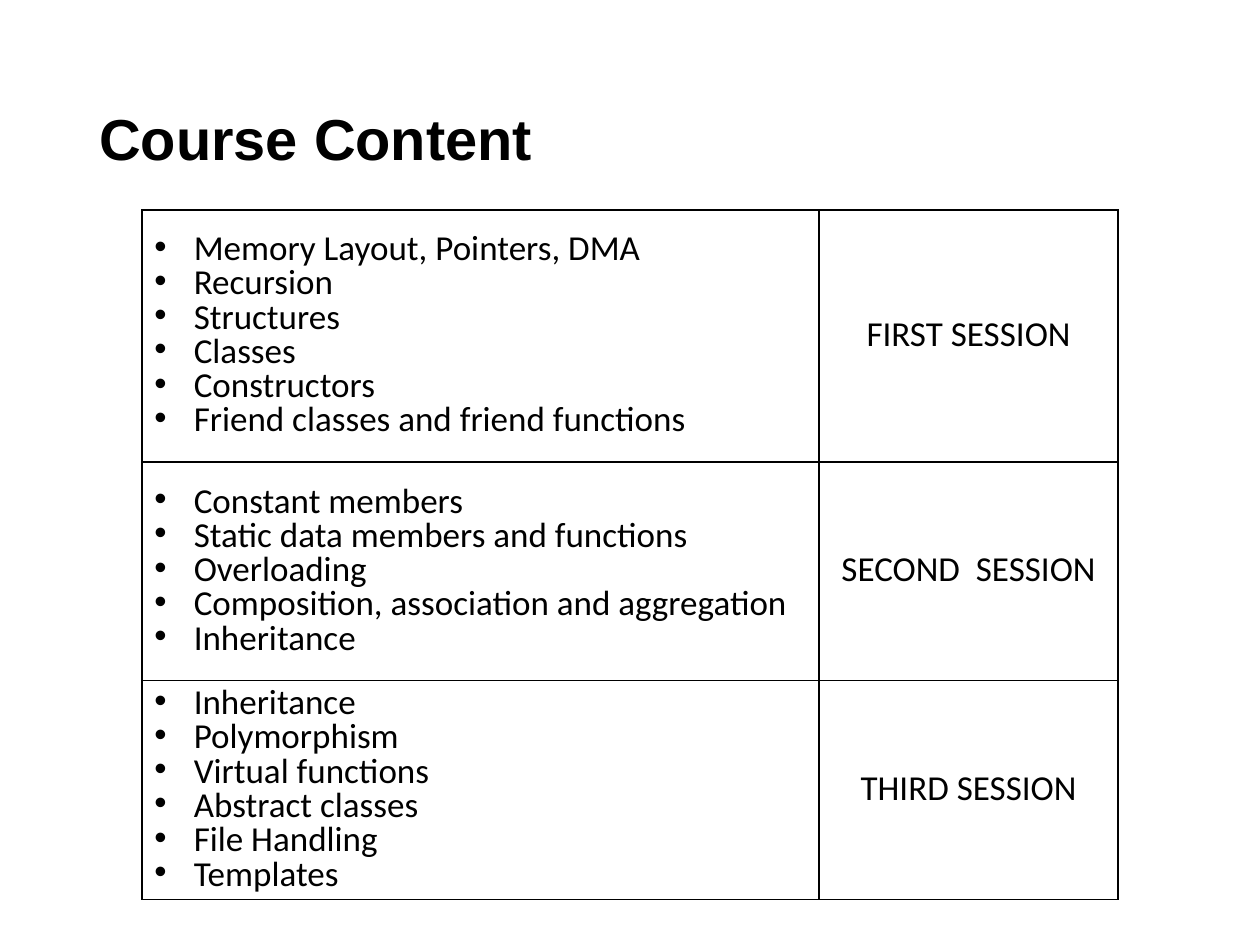
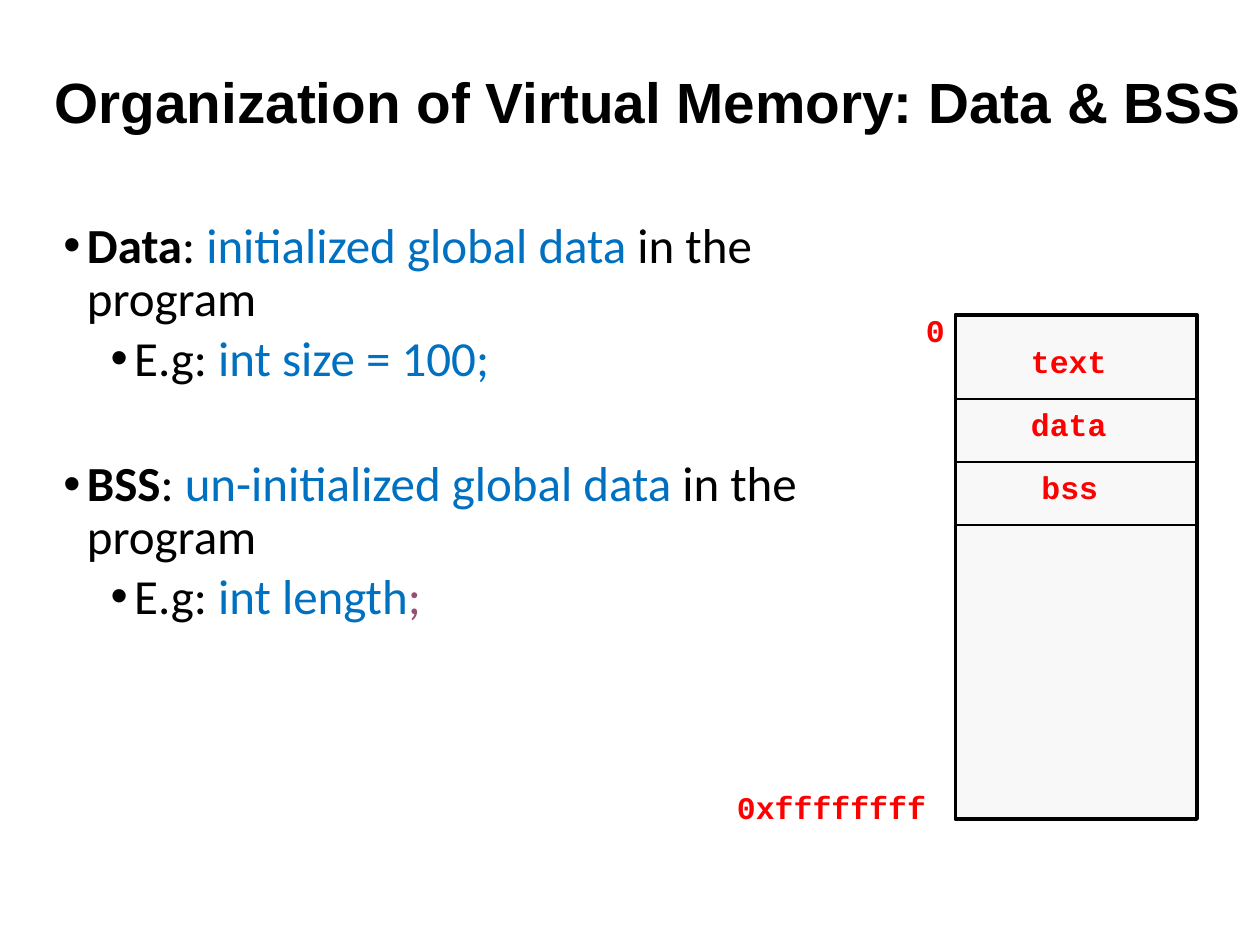
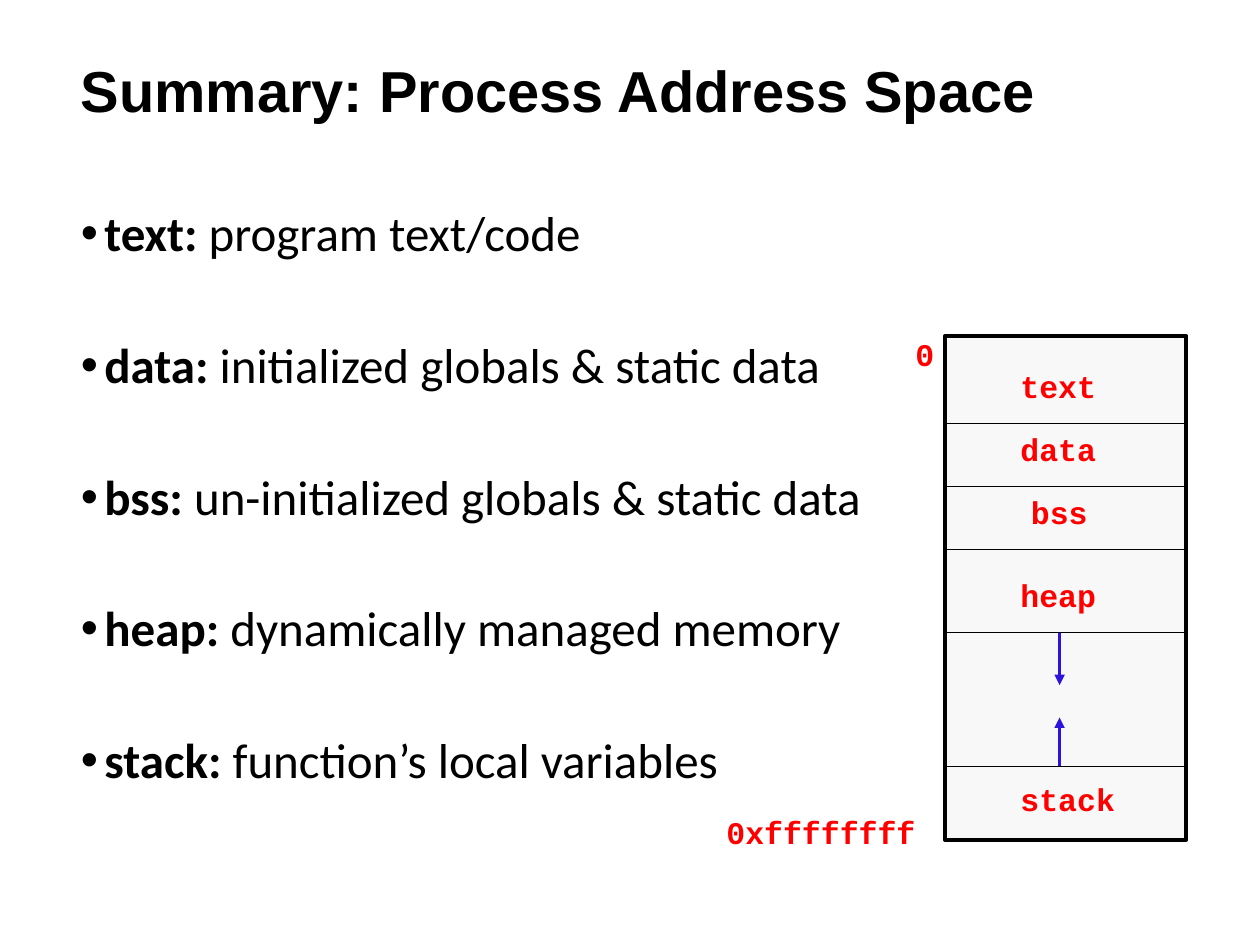
from lxml.etree import SubElement
from pptx import Presentation
from pptx.dml.color import RGBColor
from pptx.enum.shapes import MSO_CONNECTOR, MSO_SHAPE
from pptx.enum.text import MSO_ANCHOR, MSO_AUTO_SIZE, PP_ALIGN
from pptx.oxml import parse_xml
from pptx.oxml.ns import nsdecls, qn
from pptx.util import Pt

COLORS = {
    "ink": "000000",
    "paper": "FFFFFF",
    "memory": "F8F8F8",
    "label": "FF0000",
    "code": "0070C0",
    "semicolon": "954F72",
    "arrow": "2C14DE",
}
TITLE_FONT, BODY_FONT, CODE_FONT = "Arial", "Calibri", "Courier New"
MAP_WIDTH, MAP_HEIGHT = 138, 288
LABEL_HEIGHT = 29
SEGMENT_HEIGHT = 36

SESSIONS = [
    ("FIRST SESSION", 144, ["Memory Layout, Pointers, DMA", "Recursion", "Structures",
                            "Classes", "Constructors", "Friend classes and friend functions"]),
    ("SECOND  SESSION", 125, ["Constant members", "Static data members and functions",
                              "Overloading", "Composition, association and aggregation",
                              "Inheritance"]),
    ("THIRD SESSION", 125, ["Inheritance", "Polymorphism", "Virtual functions",
                            "Abstract classes", "File Handling", "Templates"]),
]
# Name, indent from the left of the map, lower edge below the first address
LOW_SEGMENTS = [("text", 36, 48), ("data", 36, 84), ("bss", 42, 120)]
HEAP_SEGMENT = ("heap", 36, 167.5)
STACK_CEILING = 244

# Level, space before, runs of (text, colour, bold)
DATA_AND_BSS = [
    (0, 7.5, [("Data", "ink", True), (": ", "ink", False),
              ("initialized global data ", "code", False), ("in the program", "ink", False)]),
    (1, 3.8, [("E.g: ", "ink", False), ("int size = 100;", "code", False)]),
    (0, 41.5, [("BSS", "ink", True), (": ", "ink", False),
               ("un-initialized global data ", "code", False), ("in the program", "ink", False)]),
    (1, 3.8, [("E.g: ", "ink", False), ("int length", "code", False),
              (";", "semicolon", False)]),
]
SUMMARY = [
    ("text: ", "program text/code"),
    ("data: ", "initialized globals & static data"),
    ("bss: ", "un-initialized globals & static data"),
    ("heap: ", "dynamically managed memory"),
    ("stack: ", "function’s local variables"),
]


def rgb(name):
    return RGBColor.from_string(COLORS[name])


def set_font(font, name, size, color="ink", bold=False):
    font.name, font.size, font.bold = name, Pt(size), bold
    font.color.rgb = rgb(color)


def place(shape, left, top, width, height):
    shape.left, shape.top, shape.width, shape.height = Pt(left), Pt(top), Pt(width), Pt(height)


def set_bullet(paragraph, margin, hanging):
    properties = paragraph._p.get_or_add_pPr()
    properties.set("marL", str(Pt(margin)))
    properties.set("indent", str(-Pt(hanging)))
    SubElement(properties, qn("a:buFont"), typeface="Arial")
    SubElement(properties, qn("a:buChar"), char="•")


def add_slide(presentation, layout_index, title, box, size=33):
    slide = presentation.slides.add_slide(presentation.slide_layouts[layout_index])
    shape = slide.shapes.title
    place(shape, *box)
    frame = shape.text_frame
    frame.text = title
    frame.auto_size = MSO_AUTO_SIZE.NONE
    frame.vertical_anchor = MSO_ANCHOR.MIDDLE
    paragraph = frame.paragraphs[0]
    paragraph.alignment = PP_ALIGN.LEFT
    paragraph.line_spacing = 0.9
    set_font(paragraph.font, TITLE_FONT, size, bold=True)
    return slide


def fill_body(slide, box, items):
    shape = slide.placeholders[1]
    place(shape, *box)
    frame = shape.text_frame
    frame.auto_size = MSO_AUTO_SIZE.NONE
    for index, (level, space_before, runs) in enumerate(items):
        paragraph = frame.add_paragraph() if index else frame.paragraphs[0]
        paragraph.level = level
        paragraph.line_spacing = 0.9
        paragraph.space_before = Pt(space_before)
        set_bullet(paragraph, 13.5 + 27 * level, 13.5)
        for text, color, bold in runs:
            run = paragraph.add_run()
            run.text = text
            set_font(run.font, BODY_FONT, 28, color, bold)


# Table
def fill_cell(cell, lines, bulleted):
    cell.fill.solid()
    cell.fill.fore_color.rgb = rgb("paper")
    cell.vertical_anchor = MSO_ANCHOR.MIDDLE
    cell.text = "\n".join(lines)
    for paragraph in cell.text_frame.paragraphs:
        paragraph.line_spacing = 0.8
        set_font(paragraph.font, BODY_FONT, 20)
        if bulleted:
            set_bullet(paragraph, 22.5, 22.5)
        else:
            paragraph.alignment = PP_ALIGN.CENTER
    for index, side in enumerate("LRTB"):
        cell._tc.get_or_add_tcPr().insert(index, parse_xml(
            f'<a:ln{side} {nsdecls("a")} w="{Pt(1)}"><a:solidFill>'
            f'<a:srgbClr val="{COLORS["ink"]}"/></a:solidFill></a:ln{side}>'))


def add_session_table(slide):
    height = sum(session[1] for session in SESSIONS)
    table = slide.shapes.add_table(
        len(SESSIONS), 2, Pt(81), Pt(120), Pt(558), Pt(height)).table
    table.first_row = table.horz_banding = False
    table.columns[0].width, table.columns[1].width = Pt(387), Pt(171)
    for row, (session, row_height, topics) in zip(table.rows, SESSIONS):
        row.height = Pt(row_height)
        fill_cell(row.cells[0], topics, True)
        fill_cell(row.cells[1], [session], False)


# Memory map
def add_label(slide, text, left, top, width):
    shape = slide.shapes.add_textbox(Pt(left), Pt(top), Pt(width), Pt(LABEL_HEIGHT))
    frame = shape.text_frame
    frame.word_wrap = True
    frame.text = text
    set_font(frame.paragraphs[0].font, CODE_FONT, 18, "label", True)


def add_line(slide, start, end, color="ink", width=0.75, arrow=False):
    connector = slide.shapes.add_connector(
        MSO_CONNECTOR.STRAIGHT, *(Pt(value) for value in start + end))
    connector.line.color.rgb = rgb(color)
    connector.line.width = Pt(width)
    if arrow:
        SubElement(connector.line._get_or_add_ln(), qn("a:tailEnd"), type="triangle")
    SubElement(connector._element.spPr, qn("a:effectLst"))


def add_divider(slide, left, y):
    add_line(slide, (left, y), (left + MAP_WIDTH, y))


def add_memory_map(slide, left, top, origin, segments):
    block = slide.shapes.add_shape(
        MSO_SHAPE.RECTANGLE, Pt(left), Pt(top), Pt(MAP_WIDTH), Pt(MAP_HEIGHT))
    block.shadow.inherit = False
    block.fill.solid()
    block.fill.fore_color.rgb = rgb("memory")
    block.line.color.rgb = rgb("ink")
    block.line.width = Pt(2.25)
    add_label(slide, "0xffffffff", left - 132, origin + 267, 126)
    add_label(slide, "0", left - 24, origin - 6, 30)
    for name, indent, floor in segments:
        add_divider(slide, left, origin + floor)
        add_label(slide, name, left + indent, origin + floor - SEGMENT_HEIGHT, 84)


def add_stack(slide, left, origin):
    heap_floor, ceiling = origin + HEAP_SEGMENT[2], origin + STACK_CEILING
    middle = left + 65.5
    add_divider(slide, left, ceiling)
    add_label(slide, "stack", left + 36, ceiling + 4, 90)
    add_line(slide, (middle, heap_floor), (middle, heap_floor + 30), "arrow", 1.25, True)
    add_line(slide, (middle, ceiling), (middle, ceiling - 28), "arrow", 1.5, True)


def main():
    presentation = Presentation()
    presentation.slide_width, presentation.slide_height = Pt(720), Pt(540)

    # Course content
    slide = add_slide(presentation, 5, "Course Content", (49.5, 29, 621, 104))
    add_session_table(slide)

    # Data and BSS
    slide = add_slide(presentation, 1, "Organization of Virtual Memory: Data & BSS",
                      (24, 18, 696, 84), 32.4)
    fill_body(slide, (29, 123, 481, 324), DATA_AND_BSS)
    add_memory_map(slide, 546, 180, 180, LOW_SEGMENTS)

    # Address space summary
    slide = add_slide(presentation, 1, "Summary: Process Address Space", (39, 11.5, 642, 84))
    fill_body(slide, (39, 116, 474, 381),
              [(0, 45, [(name, "ink", True), (meaning, "ink", False)])
               for name, meaning in SUMMARY])
    add_memory_map(slide, 540, 192, 194, LOW_SEGMENTS + [HEAP_SEGMENT])
    add_stack(slide, 540, 194)

    presentation.save("out.pptx")


if __name__ == "__main__":
    main()
